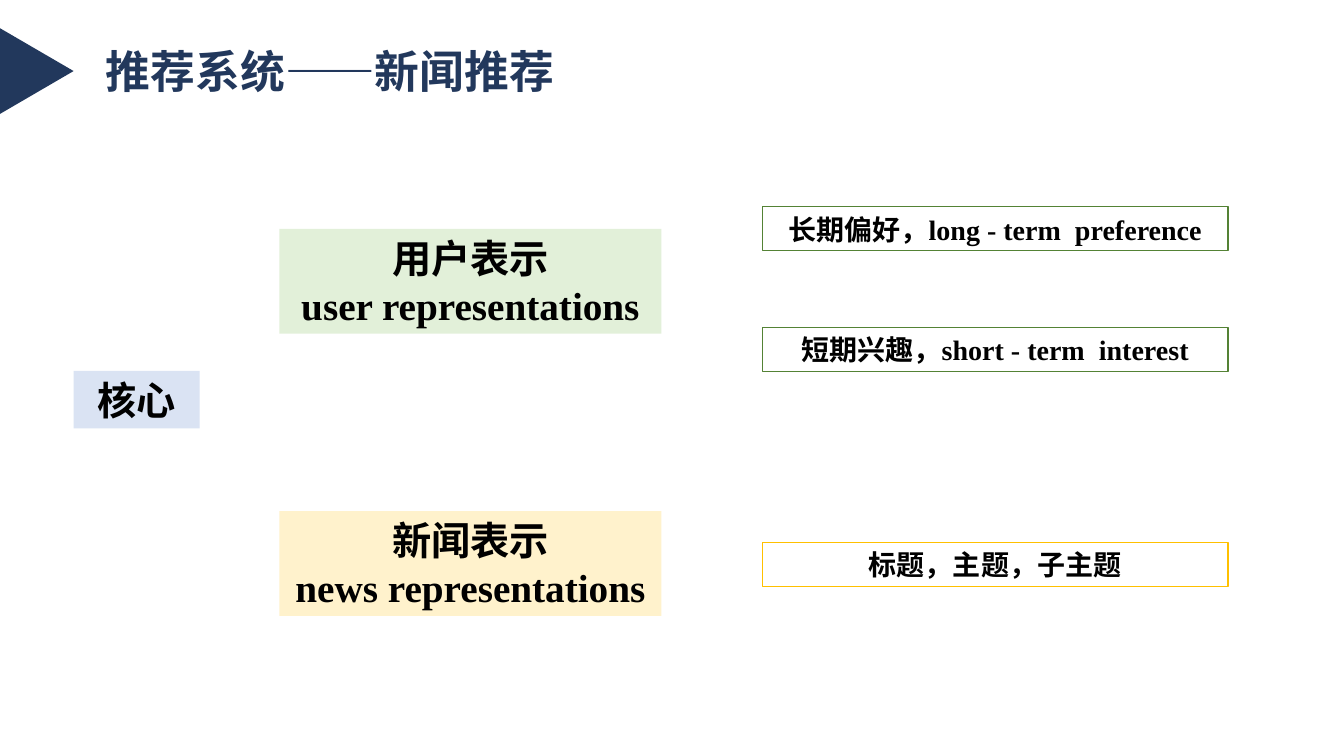
from pptx import Presentation
from pptx.dml.color import RGBColor
from pptx.enum.shapes import MSO_SHAPE
from pptx.enum.text import MSO_ANCHOR, PP_ALIGN
from pptx.util import Inches, Pt

COLORS = {
    "navy": "22385C", "black": "000000", "core": "DAE3F3",
    "user": "E2F0D9", "news": "FFF2CC",
    "user_line": "548235", "news_line": "FFC000",
}

# Columns of the tree: left edge and width
CORE_COLUMN = (0.73, 1.25)
BRANCH_COLUMN = (2.77, 3.79)
DETAIL_COLUMN = (7.56, 4.62)
BRANCH_HEIGHT = 1.04
DETAIL_HEIGHT = 0.44

# Each branch: top, colour key, lines, details as (top, text)
BRANCHES = [
    (2.27, "user", ["用户表示", "user representations"],
     [(2.05, "长期偏好，long - term  preference"),
      (3.25, "短期兴趣，short - term  interest")]),
    (5.07, "news", ["新闻表示", "news representations"],
     [(5.38, "标题，主题，子主题")]),
]


def color(key):
    return RGBColor.from_string(COLORS[key])


def write(frame, lines, size=28, font="Times New Roman", ink="black",
          align=PP_ALIGN.CENTER):
    frame.word_wrap = True
    frame.vertical_anchor = MSO_ANCHOR.MIDDLE
    for index, line in enumerate(lines):
        paragraph = frame.paragraphs[0] if index == 0 else frame.add_paragraph()
        paragraph.alignment = align
        run = paragraph.add_run()
        run.text = line
        run.font.name = font
        run.font.size = Pt(size)
        run.font.bold = True
        run.font.color.rgb = color(ink)


def add_block(slide, box, fill=None, line=None, kind=MSO_SHAPE.RECTANGLE):
    block = slide.shapes.add_shape(kind, *map(Inches, box))
    block.shadow.inherit = False
    if fill:
        block.fill.solid()
        block.fill.fore_color.rgb = color(fill)
    else:
        block.fill.background()
    if line:
        block.line.color.rgb = color(line)
        block.line.width = Pt(0.75)
    else:
        block.line.fill.background()
    return block


def add_header(slide, left, top, width, height):
    # Title
    title = slide.shapes.title
    title.left, title.top = Inches(left), Inches(top)
    title.width, title.height = Inches(width), Inches(height)
    frame = title.text_frame
    frame.margin_left = frame.margin_right = Inches(0.13)
    frame.margin_top = frame.margin_bottom = Inches(0.07)
    write(frame, ["推荐系统——新闻推荐"], size=32, font="Arial", ink="navy",
          align=PP_ALIGN.LEFT)
    # Pointer at the slide edge
    pointer = add_block(slide, (left - 0.98, top - 0.03, 0.85, 0.73),
                        fill="navy", kind=MSO_SHAPE.ISOSCELES_TRIANGLE)
    pointer.rotation = 90


def add_core(slide, top, height):
    left, width = CORE_COLUMN
    core = add_block(slide, (left, top, width, height), fill="core")
    write(core.text_frame, ["核心"])


def add_branch(slide, top, key, lines, details):
    left, width = BRANCH_COLUMN
    branch = add_block(slide, (left, top, width, BRANCH_HEIGHT), fill=key)
    write(branch.text_frame, lines)
    # Outlined details to the right
    left, width = DETAIL_COLUMN
    for detail_top, text in details:
        detail = add_block(slide, (left, detail_top, width, DETAIL_HEIGHT),
                           line=f"{key}_line")
        write(detail.text_frame, [text], size=20)


def main():
    deck = Presentation()
    deck.slide_width, deck.slide_height = Inches(13.33), Inches(7.5)
    slide = deck.slides.add_slide(deck.slide_layouts[5])
    add_header(slide, 0.92, 0.37, 5.28, 0.67)
    add_core(slide, 3.68, 0.57)
    for branch in BRANCHES:
        add_branch(slide, *branch)
    deck.save("out.pptx")


if __name__ == "__main__":
    main()
